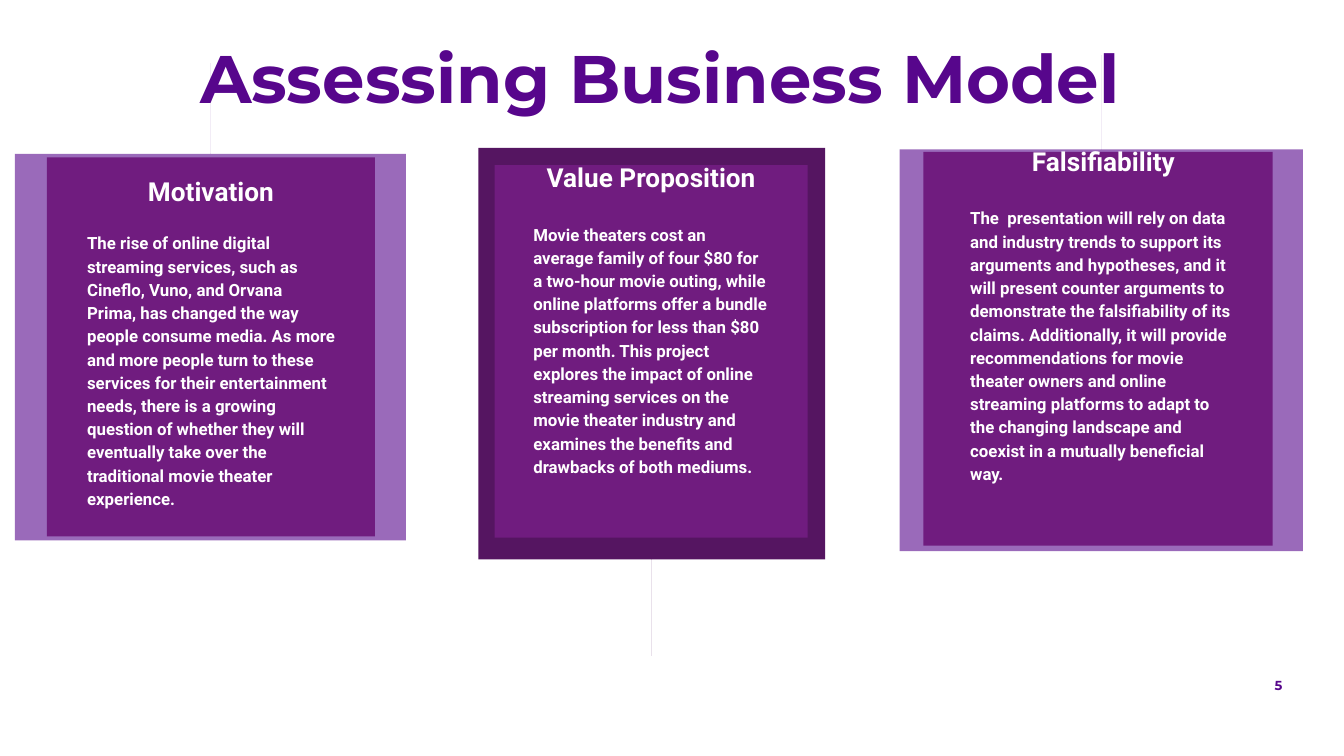
from dataclasses import dataclass
from pptx import Presentation, util as u
from pptx.dml.color import RGBColor
from pptx.enum import shapes, text

KIND = shapes.MSO_SHAPE
ALIGN = text.PP_ALIGN


@dataclass(frozen=True)
class Theme:
    ink: str = "57068C"
    white: str = "FFFFFF"
    panel: str = "701C7F"
    light: str = "9A6ABA"
    dark: str = "551561"
    head: str = "Montserrat"
    body: str = "Roboto"
    title: int = 36
    label: int = 14
    copy: int = 9
    page: int = 7


class Deck:
    scale = 4572

    def __init__(self, theme, wide, high):
        self.theme = theme
        self.file = Presentation()
        self.file.slide_width = self.px(wide)
        self.file.slide_height = self.px(high)
        self.slide = self.file.slides.add_slide(self.file.slide_layouts[6])

    def px(self, size):
        return u.Emu(size * self.scale)

    def shape(self, kind, box, fill, turn=0, adjust=()):
        item = self.slide.shapes.add_shape(kind, *map(self.px, box))
        item.shadow.inherit = False
        item.rotation = turn
        item.fill.solid()
        item.fill.fore_color.rgb = RGBColor.from_string(fill)
        item.line.fill.background()
        for spot, value in enumerate(adjust):
            item.adjustments[spot] = value

    def text(self, box, paras):
        frame = self.slide.shapes.add_textbox(*map(self.px, box)).text_frame
        frame.word_wrap = True
        for side in ("left", "top", "right", "bottom"):
            setattr(frame, f"margin_{side}", self.px(20))
        for spot, (words, font, size, color, form) in enumerate(paras):
            para = frame.add_paragraph() if spot else frame.paragraphs[0]
            for name, value in form.items():
                setattr(para, name, value)
            run = para.add_run()
            run.text = words
            look = {"name": font, "size": u.Pt(size), "bold": True}
            for name, value in look.items():
                setattr(run.font, name, value)
            run.font.color.rgb = RGBColor.from_string(color)

    def card(self, back, turn, fill, front, box, label, copy, gap):
        t = self.theme
        self.shape(KIND.RIGHT_ARROW_CALLOUT, back, fill, turn, (0, 0, 0.16, 0.81))
        self.shape(KIND.SNIP_1_RECTANGLE, front, t.panel, adjust=(0,))
        top = {"alignment": ALIGN.CENTER, "line_spacing": 1.15}
        rest = {"alignment": ALIGN.LEFT, "line_spacing": 1.15,
                "space_before": u.Pt(gap)}
        self.text(box, [(label, t.body, t.label, t.white, top),
                        (copy, t.body, t.copy, t.white, rest)])


def main():
    t = Theme()
    deck = Deck(t, 2000, 1125)
    deck.text((1010, 997, 918, 68),
              [("5", t.head, t.page, t.ink, {"alignment": ALIGN.RIGHT})])
    cards = [
        ((-42, 158, 710, 582), 270, t.light, (70, 234, 488, 564),
         (110, 234, 408, 470), "Motivation",
         "The rise of online digital streaming services, such as Cineflo, "
         "Vuno, and Orvana Prima, has changed the way people consume media. "
         "As more and more people turn to these services for their "
         "entertainment needs, there is a growing question of whether they "
         "will eventually take over the traditional movie theater "
         "experience.", 12.5),
        ((592, 340, 756, 516), 90, t.dark, (736, 246, 466, 554),
         (774, 214, 390, 426), "Value Proposition",
         "Movie theaters cost an average family of four $80 for a two-hour "
         "movie outing, while online platforms offer a bundle subscription "
         "for less than $80 per month. This project explores the impact of "
         "online streaming services on the movie theater industry and "
         "examines the benefits and drawbacks of both mediums.", 15),
        ((1270, 151, 738, 600), 270, t.light, (1374, 226, 520, 586),
         (1424, 190, 436, 586), "Falsifiability",
         "The  presentation will rely on data and industry trends to support "
         "its arguments and hypotheses, and it will present counter "
         "arguments to demonstrate the falsifiability of its claims. "
         "Additionally, it will provide recommendations for movie theater "
         "owners and online streaming platforms to adapt to the changing "
         "landscape and coexist in a mutually beneficial way.", 15),
    ]
    for card in cards:
        deck.card(*card)
    deck.text((54, 16, 1856, 178),
              [("Assessing Business Model", t.head, t.title, t.ink,
                {"alignment": ALIGN.CENTER, "line_spacing": 1.15})])
    deck.file.save("out.pptx")


if __name__ == "__main__":
    main()
